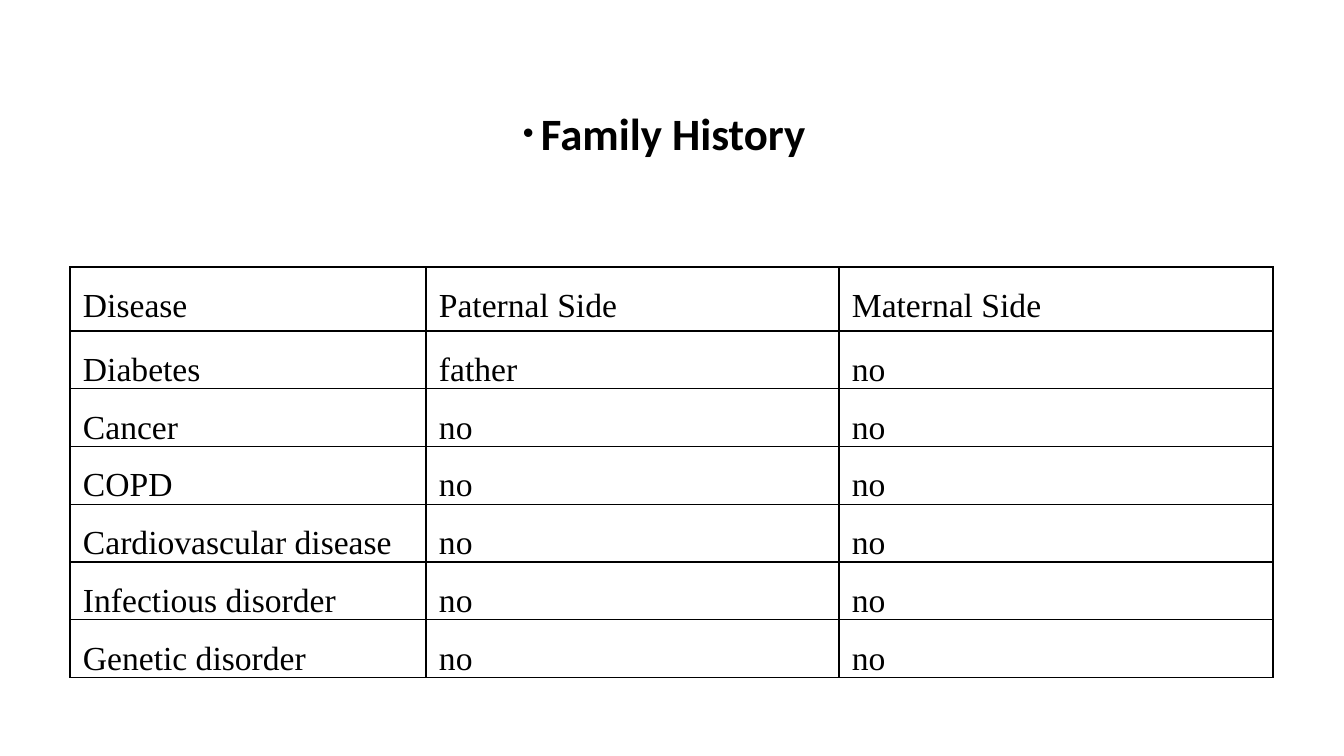
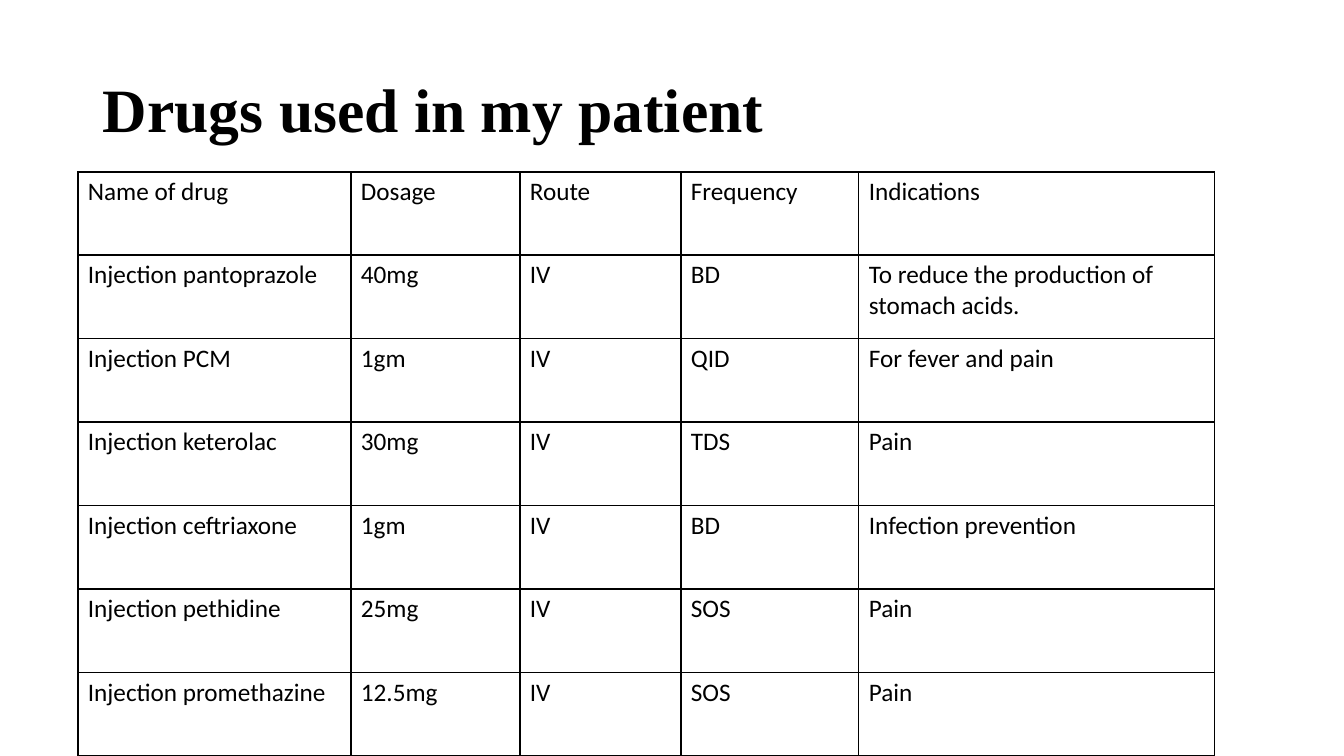
from dataclasses import dataclass

from lxml import etree
from pptx import Presentation
from pptx.dml.color import RGBColor
from pptx.enum.text import MSO_ANCHOR, PP_ALIGN
from pptx.oxml.ns import qn
from pptx.util import Pt

MIDDLE = MSO_ANCHOR.MIDDLE
LEFT, JUSTIFY = PP_ALIGN.LEFT, PP_ALIGN.JUSTIFY
WIDE, HIGH = 1344, 756
SCALE = 12192000 / WIDE


@dataclass(frozen=True)
class Theme:
    ink: str = "000000"
    sans: str = "Calibri"
    serif: str = "Times New Roman"
    title: int = 44
    topic: int = 32
    large: int = 24
    small: int = 18
    rule: int = 1


THEME = Theme()

# Text formats
TITLE = {"name": THEME.serif, "size": Pt(THEME.title), "bold": True}
TOPIC = {"name": THEME.sans, "size": Pt(THEME.topic), "bold": True}
LARGE = {"name": THEME.serif, "size": Pt(THEME.large)}
SMALL = {"name": THEME.sans, "size": Pt(THEME.small)}

HISTORY = [
    ("Disease", "Paternal Side", "Maternal Side"),
    ("Diabetes", "father", "no"),
    ("Cancer", "no", "no"),
    ("COPD", "no", "no"),
    ("Cardiovascular disease", "no", "no"),
    ("Infectious disorder", "no", "no"),
    ("Genetic disorder", "no", "no"),
]
DRUGS = [
    ("Name of drug", "Dosage", "Route", "Frequency", "Indications"),
    ("Injection pantoprazole", "40mg", "IV", "BD",
     "To reduce the production of stomach acids."),
    ("Injection PCM", "1gm", "IV", "QID", "For fever and pain"),
    ("Injection keterolac", "30mg", "IV", "TDS", "Pain"),
    ("Injection ceftriaxone", "1gm", "IV", "BD", "Infection prevention"),
    ("Injection pethidine", "25mg", "IV", "SOS", "Pain"),
    ("Injection promethazine", "12.5mg", "IV", "SOS", "Pain"),
]


def px(size):
    return round(size * SCALE)


def put(item, values):
    for name, value in values.items():
        setattr(item, name, value)


def write(para, text, font, layout):
    run = para.add_run()
    run.text = text
    put(run.font, font)
    run.font.color.rgb = RGBColor.from_string(THEME.ink)
    put(para, layout)


def bullet(para, hang, size):
    """Hang a round bullet, sized as a percentage of the text."""
    props = para._p.get_or_add_pPr()
    props.set("marL", str(px(hang)))
    props.set("indent", str(-px(hang)))
    for tag, key, value in (("a:buSzPct", "val", str(size * 1000)),
                            ("a:buFont", "typeface", "Arial"),
                            ("a:buChar", "char", "•")):
        etree.SubElement(props, qn(tag)).set(key, value)


def heading(slide, box, text, font, mark=False):
    frame = slide.shapes.add_textbox(*map(px, box)).text_frame
    put(frame, {"word_wrap": True, "vertical_anchor": MIDDLE})
    para = frame.paragraphs[0]
    if mark:
        bullet(para, 18, 69)
    write(para, text, font, {"line_spacing": 0.9, "alignment": LEFT})


def border(cell):
    props = cell._tc.get_or_add_tcPr()
    for side in ("a:lnL", "a:lnR", "a:lnT", "a:lnB"):
        line = etree.SubElement(props, qn(side), w=str(Pt(THEME.rule)))
        fill = etree.SubElement(line, qn("a:solidFill"))
        etree.SubElement(fill, qn("a:srgbClr"), val=THEME.ink)


def grid(slide, box, head, widths, rows, font, layout, insets):
    """Fill the box with a ruled table; rows below the head share its height."""
    left, top, high = box
    table = slide.shapes.add_table(
        len(rows), len(widths), px(left), px(top), px(sum(widths)), px(high)
    ).table
    put(table, {"first_row": False, "horz_banding": False})
    for col, width in zip(table.columns, widths):
        col.width = px(width)
    body = (high - head) / (len(rows) - 1)
    side, above, below = map(px, insets)
    for i, texts in enumerate(rows):
        table.rows[i].height = px(body if i else head)
        for j, text in enumerate(texts):
            cell = table.cell(i, j)
            put(cell, {"margin_left": side, "margin_right": side,
                       "margin_top": above, "margin_bottom": below})
            border(cell)
            cell.fill.background()
            write(cell.text_frame.paragraphs[0], text, font, layout)


def family(slide):
    grid(slide, (70, 267, 409), 64, (356, 413, 434), HISTORY, LARGE,
         {"alignment": JUSTIFY, "line_spacing": 1.5}, (13, 2, 0))
    heading(slide, (513, 55, 760, 161), "Family History", TOPIC, mark=True)


def drugs(slide):
    heading(slide, (93, 40, 1159, 146), "Drugs used in my patient", TITLE)
    grid(slide, (78, 172, 584), 83, (273, 169, 161, 178, 356), DRUGS, SMALL,
         {"alignment": LEFT}, (10, 5, 5))


def main():
    deck = Presentation()
    put(deck, {"slide_width": px(WIDE), "slide_height": px(HIGH)})
    blank = deck.slide_layouts[6]
    for build in (family, drugs):
        build(deck.slides.add_slide(blank))
    deck.save("out.pptx")


if __name__ == "__main__":
    main()
